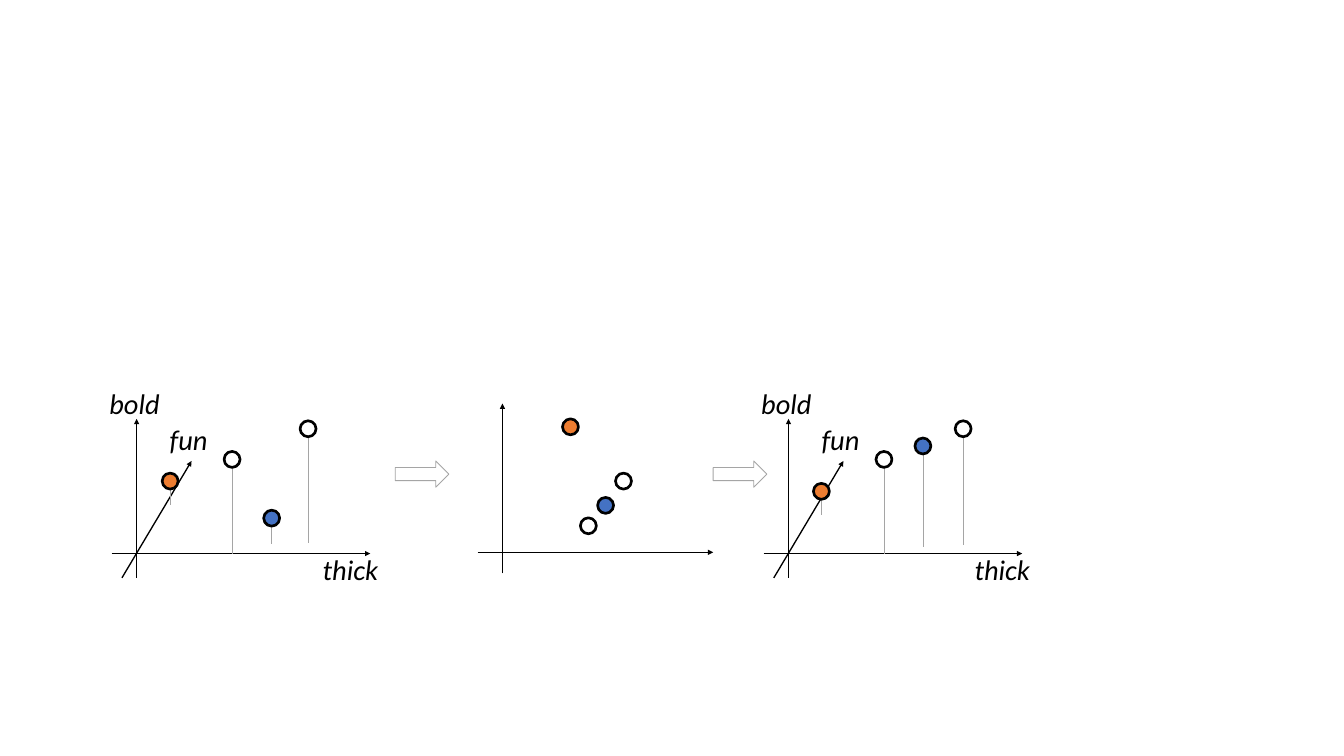
from dataclasses import dataclass

from lxml import etree
from pptx import Presentation
from pptx.dml.color import RGBColor
from pptx.enum.shapes import MSO_CONNECTOR, MSO_SHAPE
from pptx.enum.text import MSO_AUTO_SIZE, PP_ALIGN
from pptx.oxml.ns import qn
from pptx.util import Inches, Pt

STRAIGHT = MSO_CONNECTOR.STRAIGHT
ELLIPSE, RIGHT_ARROW = MSO_SHAPE.OVAL, MSO_SHAPE.RIGHT_ARROW
RIGHT = PP_ALIGN.RIGHT
FIT_TEXT = MSO_AUTO_SIZE.SHAPE_TO_FIT_TEXT


@dataclass(frozen=True)
class Theme:
    black: RGBColor = RGBColor(0x00, 0x00, 0x00)
    white: RGBColor = RGBColor(0xFF, 0xFF, 0xFF)
    grey: RGBColor = RGBColor(0xA5, 0xA5, 0xA5)
    orange: RGBColor = RGBColor(0xED, 0x7D, 0x31)
    blue: RGBColor = RGBColor(0x44, 0x72, 0xC4)
    font: str = "Calibri"
    label_size: float = 32
    axis_width: float = 1.5
    stem_width: float = 0.5
    step_width: float = 1
    dot_width: float = 3


THEME = Theme()
DOT = 0.25
BLANK_LAYOUT = 6

# Dots of the space plots: x, y, foot of the stem, fill
SPACE_BEFORE = [
    (1.91, 1.07, 2.67, THEME.white),
    (0.94, 1.41, 1.91, THEME.orange),
    (2.53, 1.99, 2.52, THEME.blue),
    (3.10, 0.59, 2.50, THEME.white),
]
SPACE_AFTER = [
    (1.91, 1.07, 2.67, THEME.white),
    (0.93, 1.57, 2.07, THEME.orange),
    (2.52, 0.86, 2.56, THEME.blue),
    (3.15, 0.59, 2.54, THEME.white),
]
# Dots of the plane plot: x, y, fill
PLANE_DOTS = [
    (2.16, 1.09, THEME.white),
    (1.33, 0.24, THEME.orange),
    (1.88, 1.47, THEME.blue),
    (1.61, 1.79, THEME.white),
]


def add_line(page, start, end, color, width, arrow=False):
    line = page.shapes.add_connector(
        STRAIGHT, *(Inches(value) for value in (*start, *end)))
    line.line.color.rgb = color
    line.line.width = Pt(width)
    if arrow:
        etree.SubElement(line.line._get_or_add_ln(), qn("a:tailEnd"), type="triangle")
    etree.SubElement(line._element.spPr, qn("a:effectLst"))


def add_figure(page, kind, box, fill, color, width):
    figure = page.shapes.add_shape(kind, *(Inches(value) for value in box))
    figure.shadow.inherit = False
    figure.fill.solid()
    figure.fill.fore_color.rgb = fill
    figure.line.color.rgb = color
    figure.line.width = Pt(width)


def add_dot(page, left, top, fill):
    add_figure(page, ELLIPSE, (left, top, DOT, DOT), fill, THEME.black, THEME.dot_width)


def add_label(page, text, box):
    label = page.shapes.add_textbox(*(Inches(value) for value in box))
    frame = label.text_frame
    frame.word_wrap = False
    frame.auto_size = FIT_TEXT
    para = frame.paragraphs[0]
    para.alignment = RIGHT
    span = para.add_run()
    span.text = text
    span.font.name = THEME.font
    span.font.size = Pt(THEME.label_size)
    span.font.italic = True
    span.font.color.rgb = THEME.black


def add_axes(page, left, top, axes):
    for x1, y1, x2, y2 in axes:
        add_line(page, (left + x1, top + y1), (left + x2, top + y2),
                 THEME.black, THEME.axis_width, arrow=True)


def space_plot(page, left, top, dots):
    """Three named axes, with dots on stems."""
    add_axes(page, left, top, [
        (0.31, 3.05, 1.40, 1.22),
        (0.15, 2.67, 4.20, 2.67),
        (0.54, 3.05, 0.54, 0.56),
    ])
    for text, x, y, width in [("thick", 3.34, 2.6, 1.08),
                              ("bold", 0, 0, 1),
                              ("fun", 0.95, 0.56, 0.8)]:
        add_label(page, text, (left + x, top + y, width, 0.64))
    for x, y, foot, fill in dots:
        middle = left + x + DOT / 2
        add_line(page, (middle, top + y + DOT), (middle, top + foot),
                 THEME.grey, THEME.stem_width)
        add_dot(page, left + x, top + y, fill)


def plane_plot(page, left, top, dots):
    """Two unnamed axes, with free dots."""
    add_axes(page, left, top, [(0, 2.33, 3.69, 2.33), (0.39, 2.66, 0.39, 0)])
    for x, y, fill in dots:
        add_dot(page, left + x, top + y, fill)


def step_arrow(page, left, top):
    add_figure(page, RIGHT_ARROW, (left, top, 0.84, 0.41),
               THEME.white, THEME.grey, THEME.step_width)


def main():
    deck = Presentation()
    deck.slide_width, deck.slide_height = Inches(21.05), Inches(11.84)
    page = deck.slides.add_slide(deck.slide_layouts[BLANK_LAYOUT])

    # Space, projected to a plane, and back to space
    space_plot(page, 1.6, 6, SPACE_BEFORE)
    step_arrow(page, 6.19, 7.22)
    plane_plot(page, 7.48, 6.32, PLANE_DOTS)
    step_arrow(page, 11.17, 7.22)
    space_plot(page, 11.81, 6, SPACE_AFTER)

    deck.save("out.pptx")


if __name__ == "__main__":
    main()
